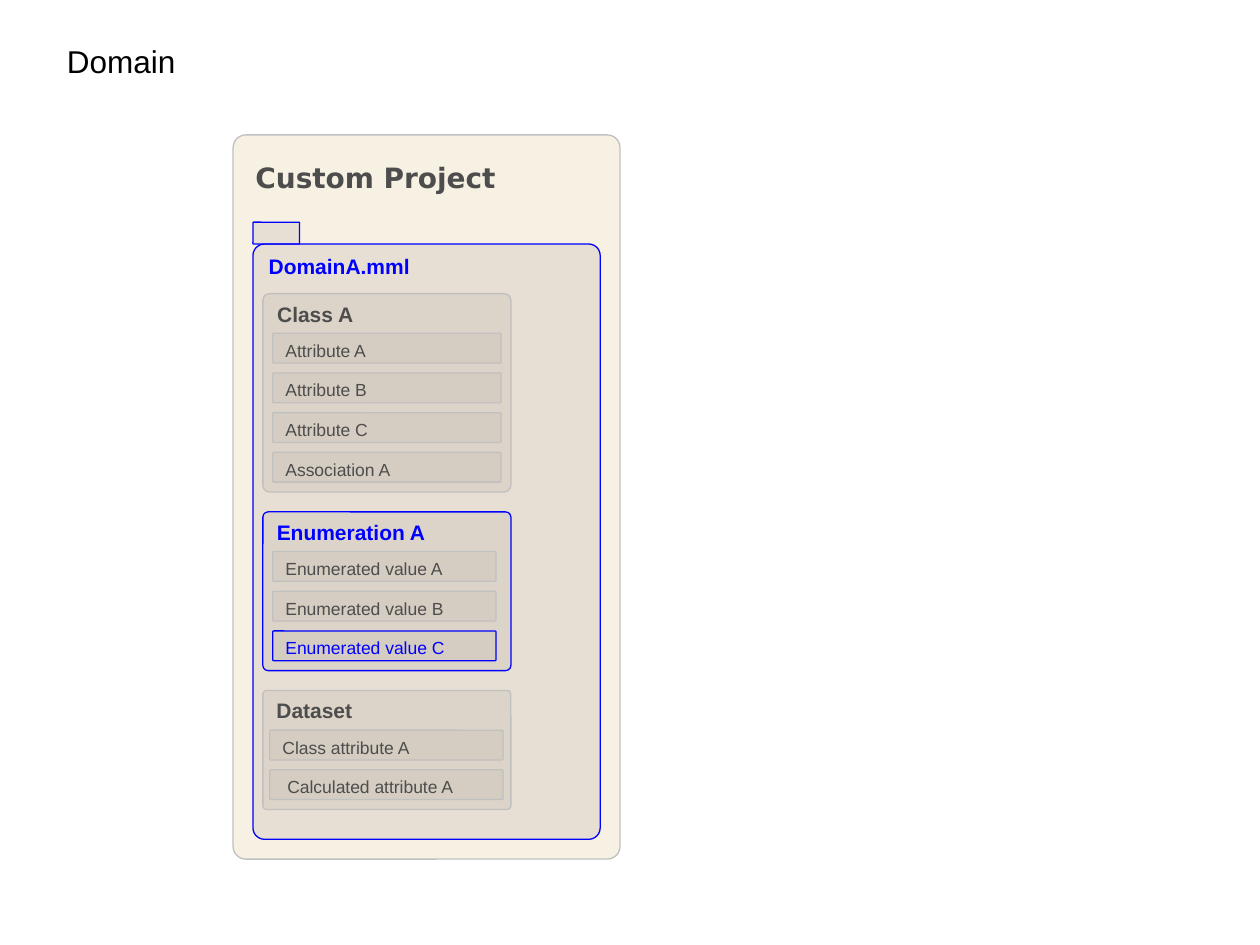
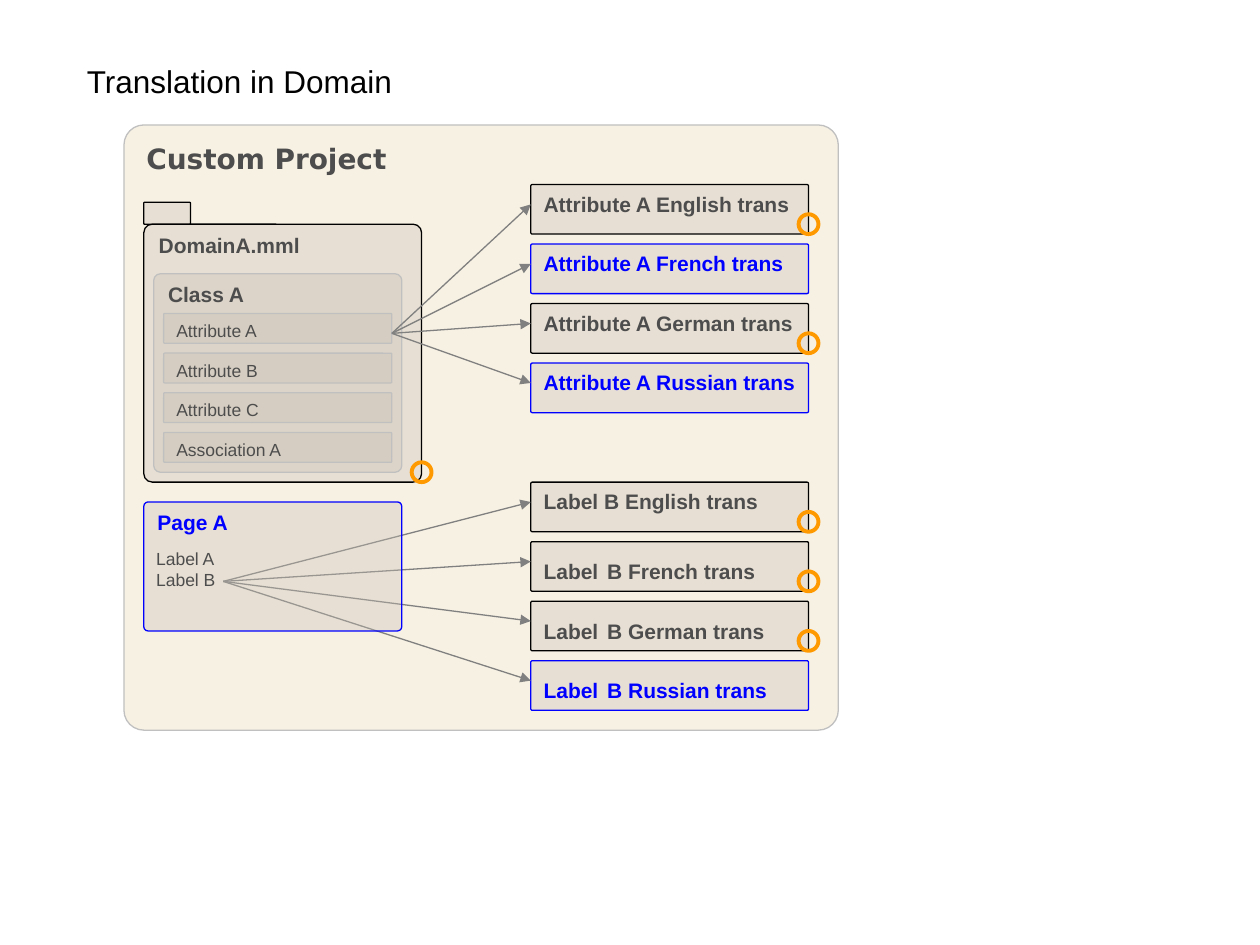
import pptx
import pptx.util
import pptx.dml.color
import pptx.enum.shapes
import pptx.enum.text
import pptx.oxml.ns
import lxml.etree

COLS = 127
STEP = pptx.util.Inches(10) / COLS  # columns and rows share one square step
SHAPE = pptx.enum.shapes.MSO_SHAPE

SAND, CLAY = ("ECDEBB", 40), ("CAC0B6", 35)  # colour, opacity in percent
BLACK, DARK, GREY, PALE = "000000", "4D4D4D", "808080", "C0C0C0"
BLUE, AMBER = "0000FF", "FF9900"


def grid(*steps):
    return [round(n * STEP) for n in steps]


def color(code):
    return pptx.dml.color.RGBColor.from_string(code)


def node(parent, tag, **attrs):
    return lxml.etree.SubElement(parent, pptx.oxml.ns.qn(tag), **attrs)


def write(shape, *lines, size=10, bold=False, ink=DARK, font="Arial"):
    """Fill a shape with lines; a line is a string or a list of (string, size, bold)."""
    frame = shape.text_frame
    frame.word_wrap = True
    frame.margin_right = 0
    frame.vertical_anchor = pptx.enum.text.MSO_ANCHOR.TOP
    for i, line in enumerate(lines):
        para = frame.add_paragraph() if i else frame.paragraphs[0]
        para.alignment = pptx.enum.text.PP_ALIGN.LEFT
        runs = [(line, size, bold)] if isinstance(line, str) else line
        for words, points, heavy in runs:
            run = para.add_run()
            run.text = words
            run.font.name = font
            run.font.size = pptx.util.Pt(points)
            run.font.bold = heavy
            run.font.color.rgb = color(ink)


class Deck:
    def __init__(self):
        self.prs = pptx.Presentation()
        self.prs.slide_width = pptx.util.Inches(10)
        self.prs.slide_height = pptx.util.Inches(7.5)
        self.slide = None

    def start(self, title, x, y, w):
        self.slide = self.prs.slides.add_slide(self.prs.slide_layouts[6])
        self.label(x, y, w, 5.1, title, size=18, ink=BLACK)

    def label(self, x, y, w, h, *lines, **style):
        write(self.slide.shapes.add_textbox(*grid(x, y, w, h)), *lines, **style)

    def shape(self, kind, x, y, w, h, edge, weight, fill=None):
        item = self.slide.shapes.add_shape(kind, *grid(x, y, w, h))
        item.shadow.inherit = False
        item.line.color.rgb = color(edge)
        item.line.width = pptx.util.Pt(weight)
        if fill:
            item.fill.solid()
            item.fill.fore_color.rgb = color(fill[0])
            tint = item.element.spPr.find(pptx.oxml.ns.qn("a:solidFill"))[0]
            node(tint, "a:alpha", val=str(fill[1] * 1000))
        else:
            item.fill.background()
        return item

    def box(self, x, y, w, h, *lines, edge=PALE, fill=CLAY, **style):
        item = self.shape(SHAPE.ROUNDED_RECTANGLE, x, y, w, h, edge, 0.75, fill)
        item.adjustments[0] = 0.033
        if lines:
            ink = BLUE if edge == BLUE else DARK
            write(item, *lines, ink=ink, **style)

    def ring(self, x, y, w, h):
        """Mark the lower right corner of the box with these bounds."""
        self.shape(SHAPE.OVAL, x + w - 1, y + h - 2, 2, 2, AMBER, 2.25)

    def arrow(self, x1, y1, x2, y2):
        line = self.slide.shapes.add_connector(
            pptx.enum.shapes.MSO_CONNECTOR.STRAIGHT, *grid(x1, y1, x2, y2))
        line.line.color.rgb = color(GREY)
        line.line.width = pptx.util.Pt(0.75)
        node(line.line._get_or_add_ln(), "a:tailEnd", type="triangle")
        node(line.element.spPr, "a:effectLst")

    def project(self, x, y, w, h, drop):
        self.box(x, y, w, h, fill=SAND)
        self.label(x + 1, y + drop, 30, 4.7, "Custom Project",
                   size=16, bold=True, font="DejaVu Sans")

    def domain(self, x, y, w, h, edge):
        self.box(x, y, w, h, "DomainA.mml", edge=edge, size=12, bold=True)
        self.box(x, y - 2.2, 4.7, 2.2, edge=edge)

    def group(self, x, y, name, items, inset=1, width=23, edge=PALE, last=PALE):
        """A titled box holding one row per item; last is the edge of the final row."""
        self.box(x, y, 25, 4 + 4 * len(items), name, edge=edge, size=12, bold=True)
        for i, item in enumerate(items):
            self.box(x + inset, y + 4 + 4 * i, width, 3, item,
                     edge=last if i == len(items) - 1 else PALE)

    def fan(self, x, y, top, names, blues):
        """Translation boxes, each reached by an arrow from one point."""
        for i, name in enumerate(names):
            spot = (53.5, top + 6 * i, 28, 5)
            edge = BLUE if i in blues else BLACK
            self.box(*spot, name, edge=edge, size=12, bold=True)
            self.arrow(x, y, spot[0], spot[1] + 2)
            if edge == BLACK:
                self.ring(*spot)


def main():
    deck = Deck()
    parts = ["Attribute A", "Attribute B", "Attribute C", "Association A"]
    tongues = ["English", "French", "German", "Russian"]

    deck.start("Domain", 5.5, 3.6, 13.5)
    deck.project(23.5, 13.6, 39, 73, drop=2)
    deck.domain(25.5, 24.6, 35, 60, BLUE)
    deck.group(26.5, 29.6, "Class A", parts)
    deck.group(26.5, 51.6, "Enumeration A",
               [f"Enumerated value {c}" for c in "ABC"],
               width=22.5, edge=BLUE, last=BLUE)
    deck.group(26.5, 69.6, "Dataset",
               ["Class attribute A", " Calculated attribute A"],
               inset=0.7, width=23.5)

    deck.start("Translation in Domain", 7.5, 5.6, 33.4)
    deck.project(12.5, 12.6, 72, 61, drop=1)
    folder = (14.5, 22.6, 28, 26)
    deck.domain(*folder, BLACK)
    deck.group(15.5, 27.6, "Class A", parts)
    deck.fan(39.5, 33.6, 18.6, [f"Attribute A {t} trans" for t in tongues], (1, 3))
    labels = ["Label B English trans"]
    labels += [[("Label", 12, True), (" ", 18, False), (f"B {t} trans", 12, True)]
               for t in tongues[1:]]
    deck.fan(22.5, 58.6, 48.6, labels, (3,))
    deck.box(14.5, 50.6, 26, 13, "Page A", edge=BLUE, size=12, bold=True)
    deck.label(14.5, 54.6, 8.5, 5.5, "Label A", "Label B")
    deck.ring(*folder)

    deck.prs.save("out.pptx")


if __name__ == "__main__":
    main()
